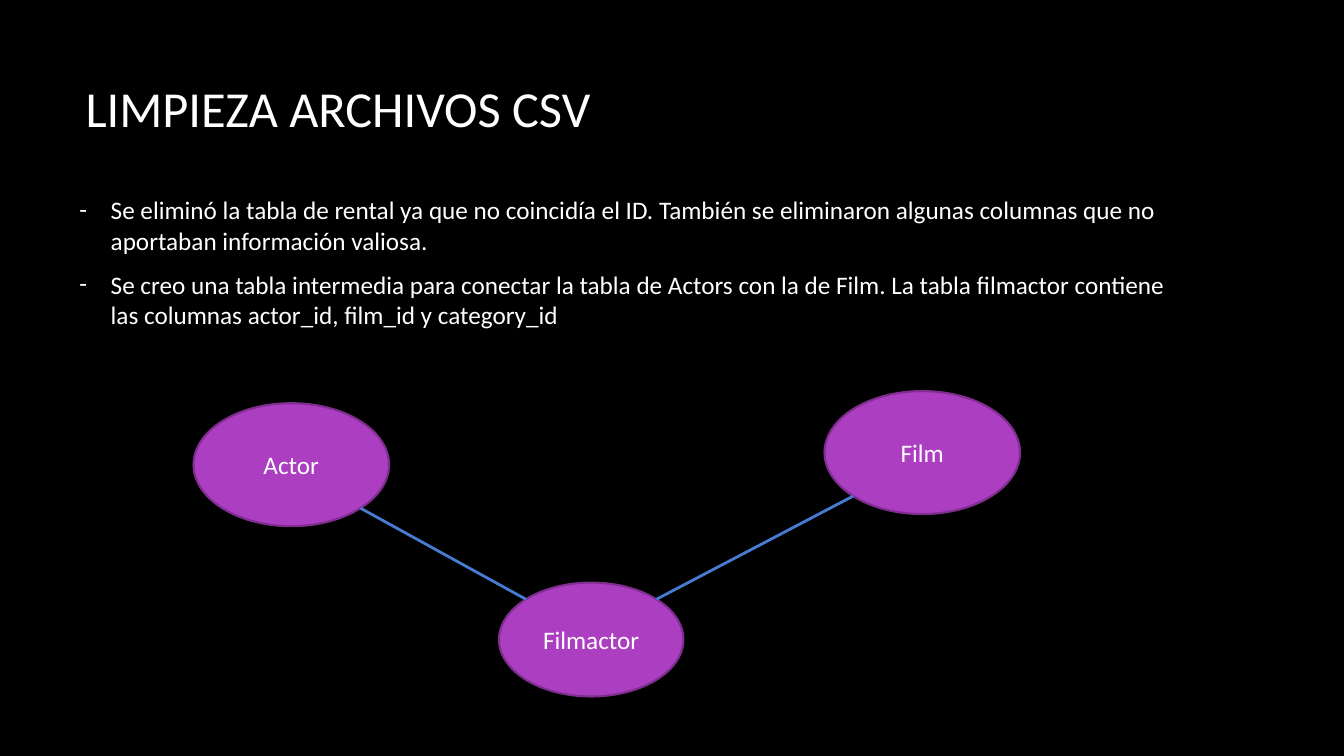
import math
from dataclasses import dataclass

import pptx
import pptx.dml.color
import pptx.enum.shapes
import pptx.enum.text
import pptx.oxml
import pptx.oxml.ns
import pptx.util


@dataclass(frozen=True)
class Theme:
    font: str = "Calibri"
    background: str = "000000"
    text: str = "FFFFFF"
    node: str = "AC3EC1"
    node_line: str = "7F2E8F"
    link: str = "477BD1"
    title_size: int = 36
    body_size: int = 18
    node_width: float = 1.5
    link_width: float = 2
    bullet_gap: int = 10
    bullet_indent: float = 0.31


def rgb(value):
    return pptx.dml.color.RGBColor.from_string(value)


class SlideBuilder:
    COLUMNS, ROWS = 160, 90

    def __init__(self, prs, theme):
        self.theme = theme
        self.col = prs.slide_width / self.COLUMNS
        self.row = prs.slide_height / self.ROWS
        self.s = prs.slides.add_slide(prs.slide_layouts[6])
        fill = self.s.background.fill
        fill.solid()
        fill.fore_color.rgb = rgb(theme.background)

    def place(self, x, y, w, h):
        return (round(x * self.col), round(y * self.row),
                round(w * self.col), round(h * self.row))

    def run(self, p, text, size):
        r = p.add_run()
        r.text = text
        r.font.name = self.theme.font
        r.font.size = pptx.util.Pt(size)
        r.font.color.rgb = rgb(self.theme.text)

    def text_box(self, box, anchor):
        tf = self.s.shapes.add_textbox(*self.place(*box)).text_frame
        tf.word_wrap = True
        tf.vertical_anchor = anchor
        return tf

    def title(self, text, box):
        tf = self.text_box(box, pptx.enum.text.MSO_ANCHOR.MIDDLE)
        self.run(tf.paragraphs[0], text, self.theme.title_size)

    def bullets(self, items, box):
        tf = self.text_box(box, pptx.enum.text.MSO_ANCHOR.TOP)
        indent = pptx.util.Inches(self.theme.bullet_indent)
        for i, item in enumerate(items):
            p = tf.add_paragraph() if i else tf.paragraphs[0]
            p.space_after = pptx.util.Pt(self.theme.bullet_gap)
            self.run(p, item, self.theme.body_size)
            pPr = p._p.get_or_add_pPr()
            pPr.set("marL", str(indent))
            pPr.set("indent", str(-indent))
            ns = pptx.oxml.ns.nsdecls("a")
            for xml in (
                f'<a:buClr {ns}><a:srgbClr val="{self.theme.text}"/></a:buClr>',
                f'<a:buFont {ns} typeface="{self.theme.font}"/>',
                f'<a:buChar {ns} char="-"/>',
            ):
                pPr.append(pptx.oxml.parse_xml(xml))

    def node(self, text, box):
        sp = self.s.shapes.add_shape(
            pptx.enum.shapes.MSO_SHAPE.OVAL, *self.place(*box))
        sp.shadow.inherit = False
        sp.fill.solid()
        sp.fill.fore_color.rgb = rgb(self.theme.node)
        sp.line.color.rgb = rgb(self.theme.node_line)
        sp.line.width = pptx.util.Pt(self.theme.node_width)
        tf = sp.text_frame
        tf.word_wrap = True
        tf.vertical_anchor = pptx.enum.text.MSO_ANCHOR.MIDDLE
        p = tf.paragraphs[0]
        p.alignment = pptx.enum.text.PP_ALIGN.CENTER
        self.run(p, text, self.theme.body_size)
        return sp

    def diagonal_point(self, sp, dx, dy):
        reach = math.sqrt(0.5)
        return (round(sp.left + sp.width / 2 * (1 + dx * reach)),
                round(sp.top + sp.height / 2 * (1 + dy * reach)))

    def link(self, upper, lower):
        side = 1 if upper.left < lower.left else -1
        line = self.s.shapes.add_connector(
            pptx.enum.shapes.MSO_CONNECTOR.STRAIGHT,
            *self.diagonal_point(upper, side, 1),
            *self.diagonal_point(lower, -side, -1))
        line.line.color.rgb = rgb(self.theme.link)
        line.line.width = pptx.util.Pt(self.theme.link_width)
        ns = pptx.oxml.ns.nsdecls("a")
        line._element.spPr.append(pptx.oxml.parse_xml(f"<a:effectLst {ns}/>"))


def main():
    prs = pptx.Presentation()
    prs.slide_width = pptx.util.Inches(13.33)
    prs.slide_height = pptx.util.Inches(7.5)
    slide = SlideBuilder(prs, Theme())
    slide.title("LIMPIEZA ARCHIVOS CSV", (9, 3.24, 133, 19.08))
    slide.bullets([
        "Se eliminó la tabla de rental ya que no coincidía el ID. También se "
        "eliminaron algunas columnas que no aportaban información valiosa.",
        "Se creo una tabla intermedia para conectar la tabla de Actors con la "
        "de Film. La tabla filmactor contiene las columnas actor_id, film_id "
        "y category_id",
    ], (8.28, 22.6, 133, 19))
    filmactor = slide.node("Filmactor", (59.4, 69.36, 21.96, 13.56))
    sources = [slide.node(text, (x, y, 23.28, 14.64)) for text, x, y in (
        ("Actor", 23.04, 48), ("Film", 98.16, 46.56))]
    for source in sources:
        slide.link(source, filmactor)
    prs.save("out.pptx")


if __name__ == "__main__":
    main()
